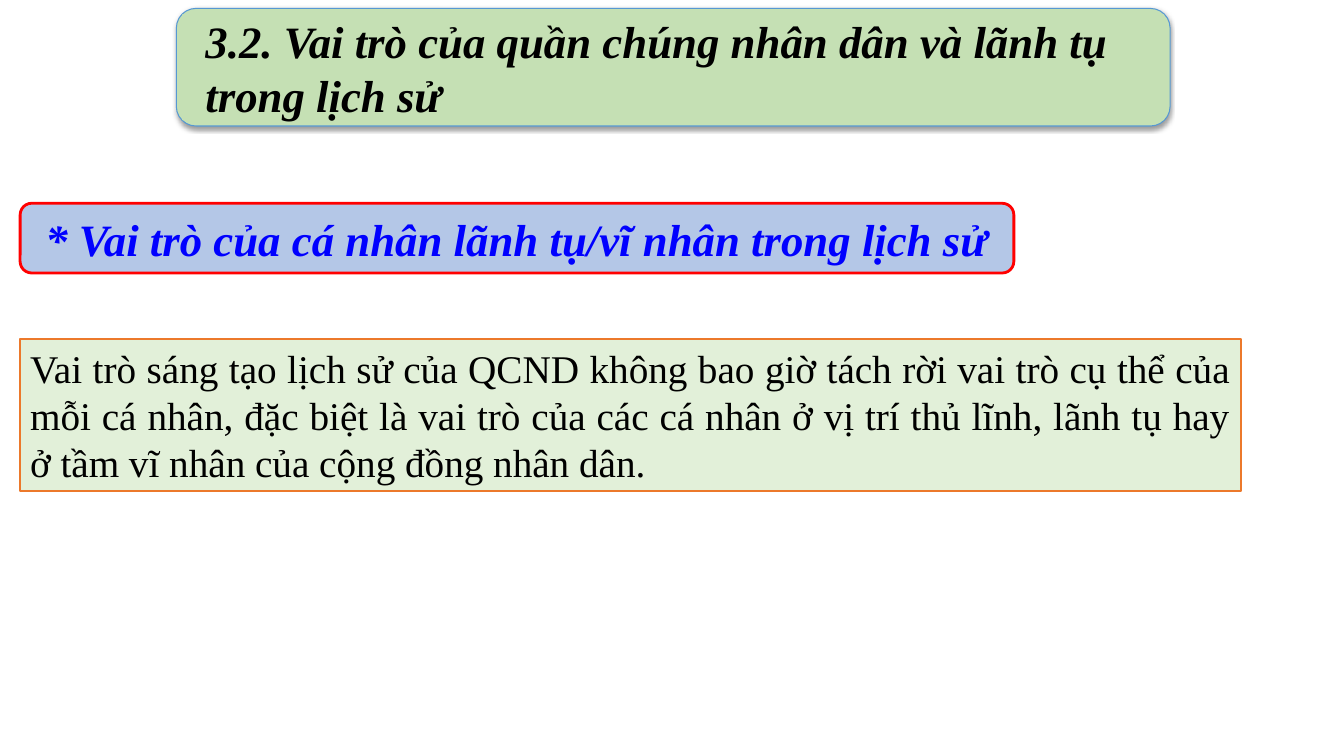
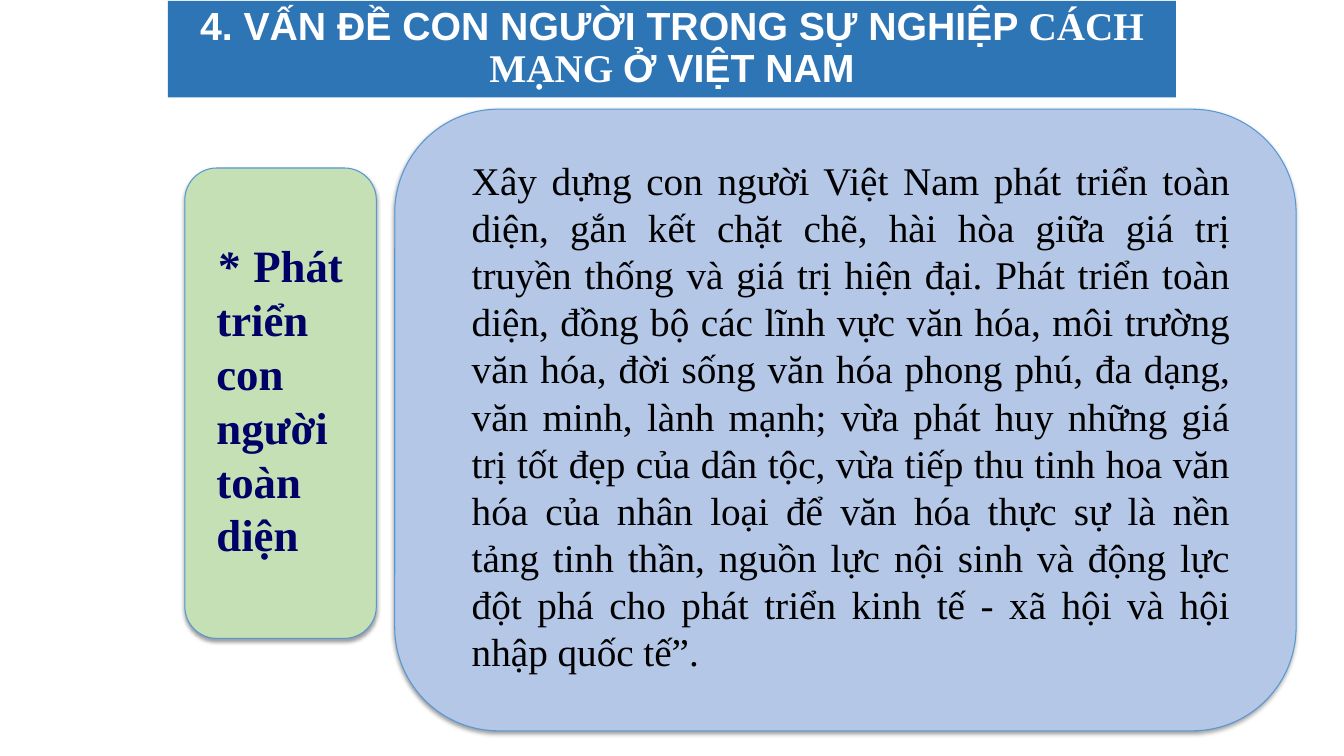
from lxml import etree
from pptx import Presentation
from pptx.dml.color import RGBColor
from pptx.enum.shapes import MSO_SHAPE
from pptx.enum.text import MSO_ANCHOR, PP_ALIGN
from pptx.oxml.ns import qn
from pptx.util import Inches, Pt

RECTANGLE = MSO_SHAPE.RECTANGLE
ROUNDED = MSO_SHAPE.ROUNDED_RECTANGLE
TOP, MIDDLE = MSO_ANCHOR.TOP, MSO_ANCHOR.MIDDLE
LEFT, CENTER, JUSTIFY = PP_ALIGN.LEFT, PP_ALIGN.CENTER, PP_ALIGN.JUSTIFY

SLIDE_WIDTH, SLIDE_HEIGHT = Inches(13.33), Inches(7.5)
COLUMNS, ROWS = 160, 90
SERIF, SANS = "Times New Roman", "Arial"
HEADING_SIZE, BODY_SIZE = 32, 28
CARD_MARGIN = Inches(0.23)

COLORS = {
    "black": "000000",
    "white": "FFFFFF",
    "navy": "000066",
    "blue": "0000FF",
    "red": "FF0000",
    "orange": "EC792B",
    "band": "2E75B6",
    "card line": "5698D3",
    "green": "C5E0B4",
    "pale green": "E2F0D9",
    "pale blue": "B4C7E7",
}


def color(name):
    return RGBColor.from_string(COLORS[name])


def add_box(shapes, place, fill, line=None, width=0.75, kind=RECTANGLE):
    left, top, columns, rows = place
    box = shapes.add_shape(
        kind,
        round(SLIDE_WIDTH * left / COLUMNS),
        round(SLIDE_HEIGHT * top / ROWS),
        round(SLIDE_WIDTH * columns / COLUMNS),
        round(SLIDE_HEIGHT * rows / ROWS),
    )
    box.shadow.inherit = False
    box.fill.solid()
    box.fill.fore_color.rgb = color(fill)
    if line:
        box.line.color.rgb = color(line)
        box.line.width = Pt(width)
    else:
        box.line.fill.background()
    return box


def add_shadow(box):
    effects = box.element.spPr.find(qn("a:effectLst"))
    shadow = etree.SubElement(
        effects, qn("a:outerShdw"), blurRad=str(Pt(3.1)), dist=str(Pt(1.6)),
        dir="5400000", algn="ctr", rotWithShape="0",
    )
    tint = etree.SubElement(shadow, qn("a:srgbClr"), val=COLORS["black"])
    etree.SubElement(tint, qn("a:alpha"), val="38000")


def write(box, spans, size, ink, align=LEFT, anchor=MIDDLE, bold=False, spacing=None):
    frame = box.text_frame
    frame.word_wrap = True
    frame.vertical_anchor = anchor
    para = frame.paragraphs[0]
    para.alignment = align
    if spacing:
        para.line_spacing = spacing
    for text, font, italic in spans:
        span = para.add_run()
        span.text = text
        span.font.name = font
        span.font.size = Pt(size)
        span.font.bold = bold
        span.font.italic = italic
        span.font.color.rgb = color(ink)


def add_card(page, place, text_place, fill, spans, size, ink, **style):
    group = page.shapes.add_group_shape()
    add_shadow(add_box(group.shapes, place, fill, "card line", kind=ROUNDED))
    box = add_box(group.shapes, text_place, fill)
    frame = box.text_frame
    frame.margin_left = frame.margin_right = CARD_MARGIN
    frame.margin_top = frame.margin_bottom = 0
    write(box, spans, size, ink, **style)


def add_page(deck):
    return deck.slides.add_slide(deck.slide_layouts[6])


def build_leader_page(deck):
    page = add_page(deck)
    add_card(
        page, (21, 1, 118.3, 14), (21.7, 1.7, 116.9, 12.6), "green",
        [("3.2. Vai trò của quần chúng nhân dân và lãnh tụ trong lịch sử", SERIF, True)],
        HEADING_SIZE, "black", bold=True,
    )
    statement = add_box(page.shapes, (2.4, 40.4, 145.3, 18.1), "pale green", "orange", 1.5)
    write(
        statement,
        [("Vai trò sáng tạo lịch sử của QCND không bao giờ tách rời vai trò cụ thể của "
          "mỗi cá nhân, đặc biệt là vai trò của các cá nhân ở vị trí thủ lĩnh, lãnh tụ "
          "hay ở tầm vĩ nhân của cộng đồng nhân dân.", SERIF, False)],
        BODY_SIZE, "black", JUSTIFY, TOP,
    )
    topic = add_box(page.shapes, (2.4, 24.2, 118.3, 8.3), "pale blue", "red", 2, ROUNDED)
    write(
        topic,
        [("* Vai trò của cá nhân lãnh tụ/vĩ nhân trong lịch sử", SERIF, True)],
        HEADING_SIZE, "blue", CENTER, bold=True,
    )


def build_development_page(deck):
    page = add_page(deck)
    band = add_box(page.shapes, (20, 0.1, 120, 11.5), "band")
    write(
        band,
        [("4. VẤN ĐỀ CON NGƯỜI TRONG SỰ NGHIỆP ", SANS, False),
         ("CÁCH MẠNG ", SERIF, False),
         ("Ở VIỆT NAM", SANS, False)],
        BODY_SIZE, "white", CENTER, bold=True, spacing=0.9,
    )
    add_card(
        page, (22, 20, 22.8, 56), (23, 22.3, 20.6, 50.5), "green",
        [("*", SERIF, True), (" Phát triển con người toàn diện", SERIF, False)],
        HEADING_SIZE, "navy", align=JUSTIFY, bold=True,
    )
    add_card(
        page, (47, 13, 107.3, 74), (53.4, 16.1, 95.8, 66.7), "pale blue",
        [("Xây dựng con người Việt Nam phát triển toàn diện, gắn kết chặt chẽ, hài hòa "
          "giữa giá trị truyền thống và giá trị hiện đại. Phát triển toàn diện, đồng bộ "
          "các lĩnh vực văn hóa, môi trường văn hóa, đời sống văn hóa phong phú, đa dạng, "
          "văn minh, lành mạnh; vừa phát huy những giá trị tốt đẹp của dân tộc, vừa tiếp "
          "thu tinh hoa văn hóa của nhân loại để văn hóa thực sự là nền tảng tinh thần, "
          "nguồn lực nội sinh và động lực đột phá cho phát triển kinh tế - xã hội và hội "
          "nhập quốc tế”.", SERIF, False)],
        BODY_SIZE, "black", align=JUSTIFY,
    )


def main():
    deck = Presentation()
    deck.slide_width, deck.slide_height = SLIDE_WIDTH, SLIDE_HEIGHT
    build_leader_page(deck)
    build_development_page(deck)
    deck.save("out.pptx")


if __name__ == "__main__":
    main()
